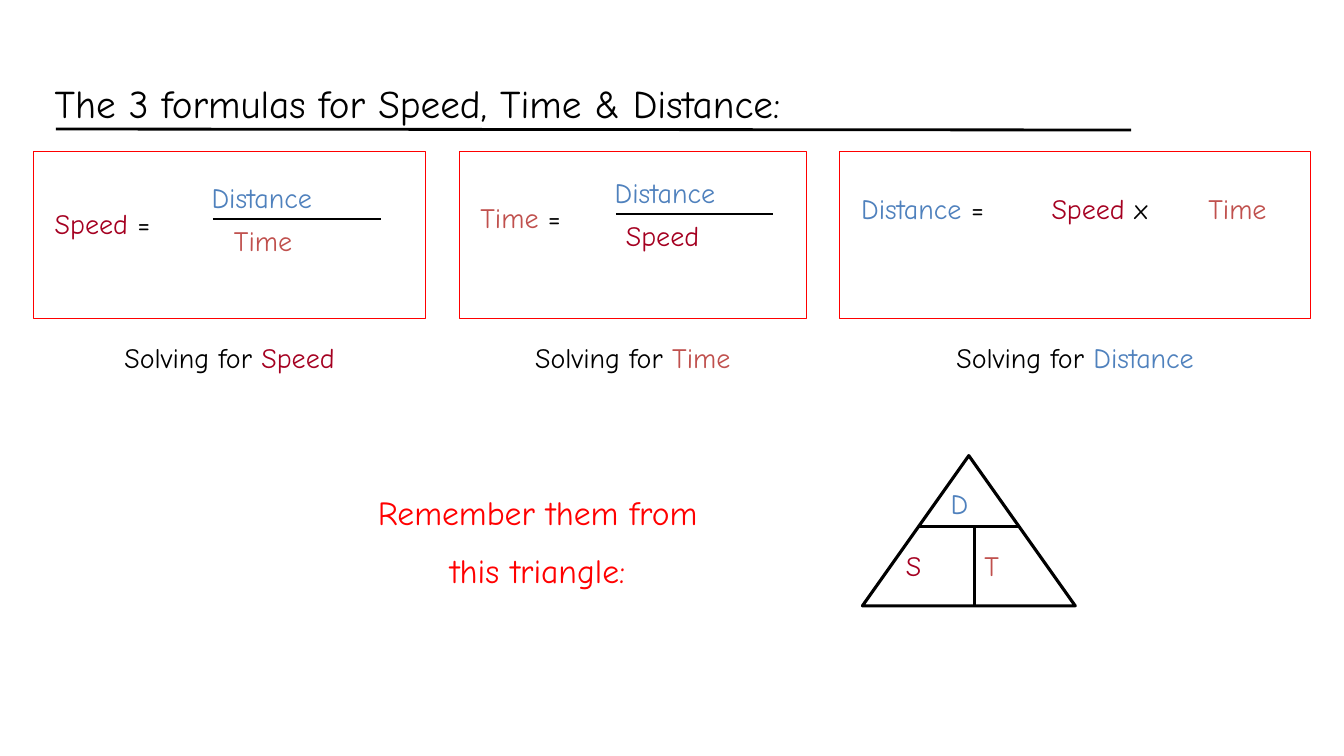
from lxml import etree
from pptx import Presentation
from pptx.dml.color import RGBColor
from pptx.enum.shapes import MSO_CONNECTOR, MSO_SHAPE
from pptx.enum.text import MSO_AUTO_SIZE, PP_ALIGN
from pptx.oxml.ns import qn
from pptx.util import Inches, Pt

STRAIGHT = MSO_CONNECTOR.STRAIGHT
RECTANGLE = MSO_SHAPE.RECTANGLE
TRIANGLE = MSO_SHAPE.ISOSCELES_TRIANGLE
LEFT, CENTER = PP_ALIGN.LEFT, PP_ALIGN.CENTER
FIT_SHAPE = MSO_AUTO_SIZE.SHAPE_TO_FIT_TEXT

BLACK = RGBColor(0x00, 0x00, 0x00)
RED = RGBColor(0xFF, 0x00, 0x00)
CRIMSON = RGBColor(0xA5, 0x00, 0x21)
BRICK = RGBColor(0xC0, 0x50, 0x4D)
BLUE = RGBColor(0x4F, 0x81, 0xBD)

SPEED, TIME, DISTANCE = ("Speed", CRIMSON), ("Time", BRICK), ("Distance", BLUE)
EQUALS, TIMES = (" =", BLACK), (" x", BLACK)

COLUMNS, ROWS = 120, 75
BOX_TOP, BOX_HEIGHT = 15, 16.6
CAPTION_TOP = 33.3
LABEL_HEIGHT = 4.3


def write(frame, *lines, size=20, align=LEFT, font="Comic Neue", gap=13):
    """Each line is a list of (text, colour) runs."""
    for index, runs in enumerate(lines):
        paragraph = frame.paragraphs[0] if index == 0 else frame.add_paragraph()
        paragraph.alignment = align
        if index:
            paragraph.space_before = Pt(gap)
        for words, colour in runs:
            run = paragraph.add_run()
            run.text = words
            run.font.name = font
            run.font.size = Pt(size)
            run.font.color.rgb = colour


class FormulaSlide:
    """Places elements on a grid of 120 columns by 75 rows."""

    def __init__(self, deck):
        self.shapes = deck.slides.add_slide(deck.slide_layouts[6]).shapes
        self.column = deck.slide_width / COLUMNS
        self.row = deck.slide_height / ROWS

    def place(self, x, y):
        return round(x * self.column), round(y * self.row)

    def text(self, x, y, width, *lines, height=LABEL_HEIGHT, **style):
        label = self.shapes.add_textbox(*self.place(x, y), *self.place(width, height))
        label.text_frame.word_wrap = True
        label.text_frame.auto_size = FIT_SHAPE
        write(label.text_frame, *lines, **style)

    def line(self, x1, y1, x2, y2, weight):
        rule = self.shapes.add_connector(STRAIGHT, *self.place(x1, y1), *self.place(x2, y2))
        rule.line.color.rgb = BLACK
        rule.line.width = Pt(weight)
        etree.SubElement(rule._element.spPr, qn("a:effectLst"))

    def outline(self, preset, x, y, width, height, colour, weight):
        figure = self.shapes.add_shape(preset, *self.place(x, y), *self.place(width, height))
        figure.shadow.inherit = False
        figure.fill.background()
        figure.line.color.rgb = colour
        figure.line.width = Pt(weight)

    def formula_box(self, x, width, subject):
        self.outline(RECTANGLE, x, BOX_TOP, width, BOX_HEIGHT, RED, 0.75)
        self.text(x, CAPTION_TOP, width, [("Solving for ", BLACK), subject], align=CENTER)

    def fraction(self, x, bar_row, width, top, bottom, bottom_indent):
        self.text(x, bar_row - 4.3, width + 3, [top])
        self.text(x + bottom_indent, bar_row, width + 2, [bottom])
        self.line(x + 1, bar_row, x + 1 + width, bar_row, 1.5)


def main():
    deck = Presentation()
    deck.slide_width, deck.slide_height = Inches(13.33), Inches(7.5)
    slide = FormulaSlide(deck)

    slide.text(4, 7.4, 107, [("The 3 formulas for Speed, Time & Distance:", BLACK)],
               height=5.7, size=28)
    slide.line(5, 12.8, 101, 12.9, 2)

    for x, width, subject in ((3, 35, SPEED), (41, 31, TIME), (75, 42, DISTANCE)):
        slide.formula_box(x, width, subject)

    slide.text(4, 20, 18, [SPEED, EQUALS])
    slide.fraction(18, 21.7, 15, DISTANCE, TIME, bottom_indent=2)

    slide.text(42, 19.4, 19, [TIME, EQUALS])
    slide.fraction(54, 21.2, 14, DISTANCE, SPEED, bottom_indent=1)

    for x, width, term in ((76, 21, [DISTANCE, EQUALS]),
                           (93, 19, [SPEED, TIMES]),
                           (107, 13, [TIME])):
        slide.text(x, 18.5, width, term)

    slide.text(25, 48.3, 46, [("Remember them from", RED)], [("this triangle:", RED)],
               height=11.1, size=24, align=CENTER)

    slide.outline(TRIANGLE, 77, 45.2, 19, 14.9, BLACK, 2.25)
    slide.line(82, 52.2, 91, 52.2, 2.25)
    slide.line(87, 52.2, 87, 60.1, 2.25)
    for x, y, letter in ((84, 47.8, ("D", BLUE)),
                         (80, 53.9, ("S", CRIMSON)),
                         (87, 53.9, ("T", BRICK))):
        slide.text(x, y, 8, [letter])

    deck.save("out.pptx")


if __name__ == "__main__":
    main()
